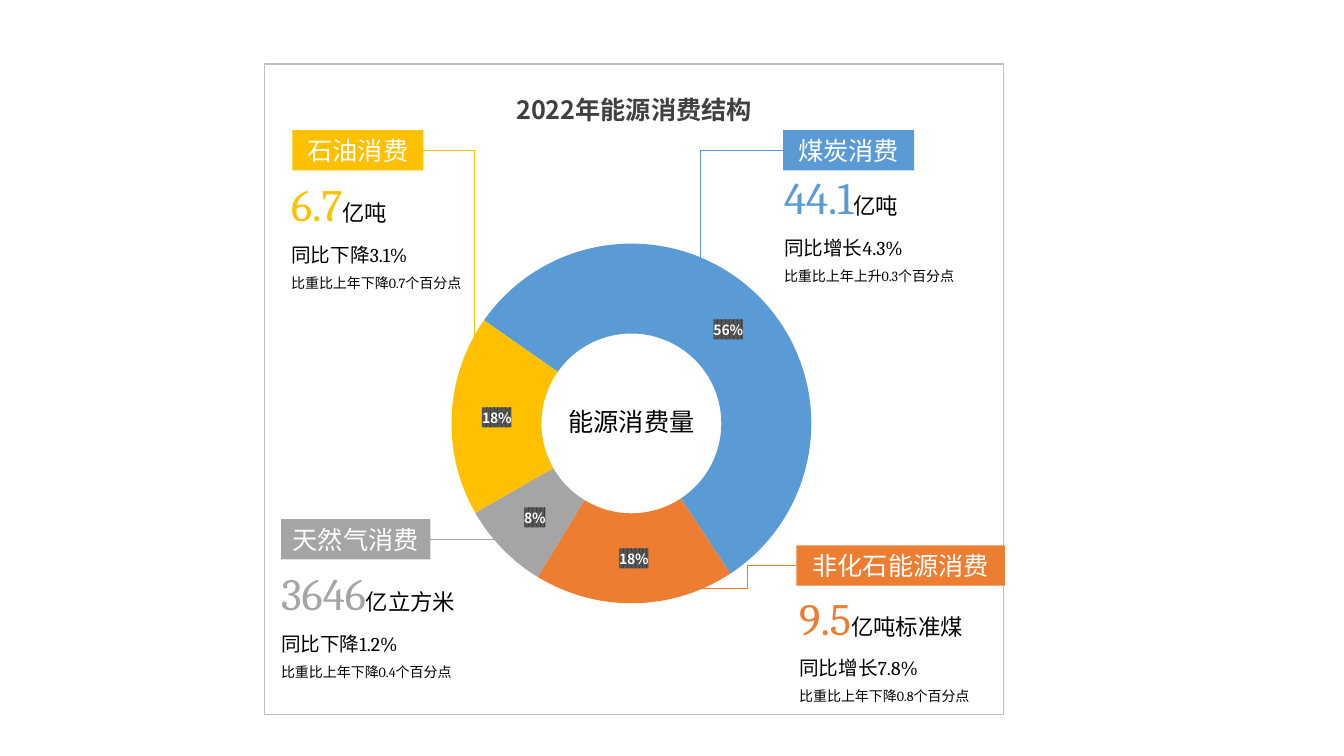
from dataclasses import dataclass

from lxml import etree
from pptx import Presentation
from pptx.chart.data import CategoryChartData
from pptx.dml.color import RGBColor
from pptx.enum.chart import XL_CHART_TYPE
from pptx.enum.shapes import MSO_CONNECTOR, MSO_SHAPE
from pptx.enum.text import MSO_AUTO_SIZE, PP_ALIGN
from pptx.oxml import parse_xml
from pptx.oxml.ns import nsdecls, qn
from pptx.util import Inches, Pt

DOUGHNUT = XL_CHART_TYPE.DOUGHNUT
STRAIGHT, ELBOW = MSO_CONNECTOR.STRAIGHT, MSO_CONNECTOR.ELBOW
RECT = MSO_SHAPE.RECTANGLE
GROW = MSO_AUTO_SIZE.SHAPE_TO_FIT_TEXT
CENTER, LEFT = PP_ALIGN.CENTER, PP_ALIGN.LEFT
COLS, ROWS = 160, 90
TAG_H, NOTE_H = 4.8, 18.12


@dataclass(frozen=True)
class Theme:
    coal: str = "5B9BD5"
    clean: str = "ED7D31"
    gas: str = "A5A5A5"
    oil: str = "FFC000"
    text: str = "000000"
    title: str = "404040"
    white: str = "FFFFFF"
    border: str = "BFBFBF"
    label_light: str = "595959"
    sans: str = "Noto Sans CJK SC"
    serif: str = "Cambria"
    figure: int = 32
    heading: int = 18
    unit: int = 16
    change: int = 14
    small: int = 10


def set_font(font, size, color, name, bold=False):
    font.size, font.bold, font.name = Pt(size), bold, name
    font.color.rgb = RGBColor.from_string(color)


def add_run(p, text, *, size, color, name, east=Theme.sans, bold=False):
    r = p.add_run()
    r.text = text
    set_font(r.font, size, color, name, bold)
    latin = r.font._element.find(qn("a:latin"))
    latin.addnext(parse_xml(f'<a:ea {nsdecls("a")} typeface="{east}"/>'))


class Board:
    """Style and current slide; positions are grid columns and rows."""

    def __init__(self, prs, theme):
        self.theme = theme
        self.slide = prs.slides.add_slide(prs.slide_layouts[6])
        self.shapes = self.slide.shapes
        self.col, self.row = prs.slide_width / COLS, prs.slide_height / ROWS

    def box(self, x, y, w, h):
        return (round(x * self.col), round(y * self.row),
                round(w * self.col), round(h * self.row))

    def fill_text(self, sp, paragraphs, align=LEFT, spacing=None):
        tf = sp.text_frame
        tf.word_wrap, tf.auto_size = True, GROW
        for i, runs in enumerate(paragraphs):
            p = tf.paragraphs[0] if i == 0 else tf.add_paragraph()
            p.alignment, p.line_spacing = align, spacing
            for text, size, color, name in runs:
                add_run(p, text, size=size, color=color, name=name)

    def text(self, box, paragraphs, **style):
        self.fill_text(self.shapes.add_textbox(*self.box(*box)), paragraphs, **style)

    def tag(self, box, text, color):
        t = self.theme
        sp = self.shapes.add_shape(RECT, *self.box(*box))
        sp.shadow.inherit = False
        sp.fill.solid()
        sp.fill.fore_color.rgb = RGBColor.from_string(color)
        sp.line.fill.background()
        self.fill_text(sp, [[(text, t.heading, t.white, t.sans)]], CENTER)

    def leader(self, start, end, color, kind, corner=False):
        x1, y1, x2, y2 = self.box(*start, *end)
        cx = self.shapes.add_connector(kind, x1, y1, x2, y2)
        cx.line.width = Pt(0.5)
        cx.line.color.rgb = RGBColor.from_string(color)
        props = cx._element.spPr
        if corner:
            props.find(qn("a:prstGeom")).set("prst", "bentConnector2")
        etree.SubElement(props, qn("a:effectLst"))

    def callout(self, name, color, tag_at, width, end, note_at, note_width,
                figure, unit, trend, change, share, kind=ELBOW, corner=False):
        t = self.theme
        x, y = tag_at
        self.tag((x, y, width, TAG_H), name, color)
        start_x = x if end[0] < x else x + width
        self.leader((start_x, y + TAG_H / 2), end, color, kind, corner)
        self.text((*note_at, note_width, NOTE_H), [
            [(figure, t.figure, color, t.serif), (unit, t.unit, t.text, t.sans)],
            [(trend, t.change, t.text, t.sans), (change, t.change, t.text, t.serif)],
            [(share, t.small, t.text, t.serif)],
        ], spacing=1.5)

    def doughnut(self, box, title, values, colors, plot_box, start, hole):
        t = self.theme
        data = CategoryChartData()
        data.categories = [str(i + 1) for i in range(len(values))]
        data.add_series("Series 1", values)
        chart = self.shapes.add_chart(DOUGHNUT, *self.box(*box), data).chart
        set_font(chart.font, t.small, t.text, t.sans)
        chart.has_legend = False
        chart.has_title = True
        add_run(chart.chart_title.text_frame.paragraphs[0], title,
                size=t.heading, color=t.title, name=t.sans, bold=True)

        # Slices and percentage labels
        plot = chart.plots[0]
        plot.vary_by_categories = True
        for i, color in enumerate(colors):
            fmt = plot.series[0].points[i].format
            fmt.fill.solid()
            fmt.fill.fore_color.rgb = RGBColor.from_string(color)
            fmt.line.fill.background()
        labels = plot.series[0].data_labels
        labels.show_percentage, labels.show_value = True, False
        labels.number_format, labels.number_format_is_linked = "0%", False
        set_font(labels.font, t.small, t.white, t.sans, True)
        labels._element.find(qn("c:txPr")).addprevious(parse_xml(
            f'<c:spPr {nsdecls("c", "a")}><a:pattFill prst="pct75">'
            f'<a:fgClr><a:srgbClr val="{t.title}"/></a:fgClr>'
            f'<a:bgClr><a:srgbClr val="{t.label_light}"/></a:bgClr>'
            '</a:pattFill></c:spPr>'))

        # Ring geometry, plot area and frame
        space = chart._chartSpace
        for tag, value in (("c:firstSliceAng", start), ("c:holeSize", hole)):
            next(space.iter(qn(tag))).set("val", str(value))
        area = next(space.iter(qn("c:plotArea")))
        for old in area.findall(qn("c:layout")):
            area.remove(old)
        sizes = "".join(f'<c:{k} val="{v}"/>' for k, v in zip("xywh", plot_box))
        area.insert(0, parse_xml(
            f'<c:layout {nsdecls("c")}><c:manualLayout><c:layoutTarget val="inner"/>'
            f'<c:xMode val="edge"/><c:yMode val="edge"/>{sizes}'
            '</c:manualLayout></c:layout>'))
        space.find(qn("c:chart")).addnext(parse_xml(
            f'<c:spPr {nsdecls("c", "a")}><a:solidFill><a:srgbClr val="{t.white}"/>'
            f'</a:solidFill><a:ln w="{Pt(0.75)}"><a:solidFill>'
            f'<a:srgbClr val="{t.border}"/></a:solidFill></a:ln></c:spPr>'))


def main():
    prs = Presentation()
    prs.slide_width, prs.slide_height = Inches(13.33), Inches(7.5)
    t = Theme()
    board = Board(prs, t)

    # Ring chart and its centre caption
    board.doughnut((31.44, 7.56, 88.08, 77.52), "2022年能源消费结构",
                   (56, 18, 8, 18), (t.coal, t.clean, t.gas, t.oil),
                   plot_box=(0.253, 0.276, 0.487, 0.554), start=305, hole=46)
    board.text((65.16, 47.76, 20.04, TAG_H),
               [[("能源消费量", t.heading, t.text, t.sans)]], align=CENTER)

    # Callouts around the ring
    board.callout("煤炭消费", t.coal, (93.24, 15.48), 15.6, (83.4, 30.72),
                  (92.16, 16.44), 24.12, "44.1", "亿吨", "同比增长", "4.3%",
                  "比重比上年上升0.3个百分点", corner=True)
    board.callout("石油消费", t.oil, (34.8, 15.48), 15.6, (56.52, 40.08),
                  (33.48, 17.28), 24.12, "6.7", "亿吨", "同比下降", "3.1%",
                  "比重比上年下降0.7个百分点", corner=True)
    board.callout("天然气消费", t.gas, (33.48, 61.8), 17.76, (58.8, 64.2),
                  (32.28, 63.6), 26.52, "3646", "亿立方米", "同比下降", "1.2%",
                  "比重比上年下降0.4个百分点", kind=STRAIGHT)
    board.callout("非化石能源消费", t.clean, (94.8, 64.92), 24.84, (83.16, 70.08),
                  (93.96, 66.48), 26.52, "9.5", "亿吨标准煤", "同比增长", "7.8%",
                  "比重比上年下降0.8个百分点")

    prs.save("out.pptx")


if __name__ == "__main__":
    main()
